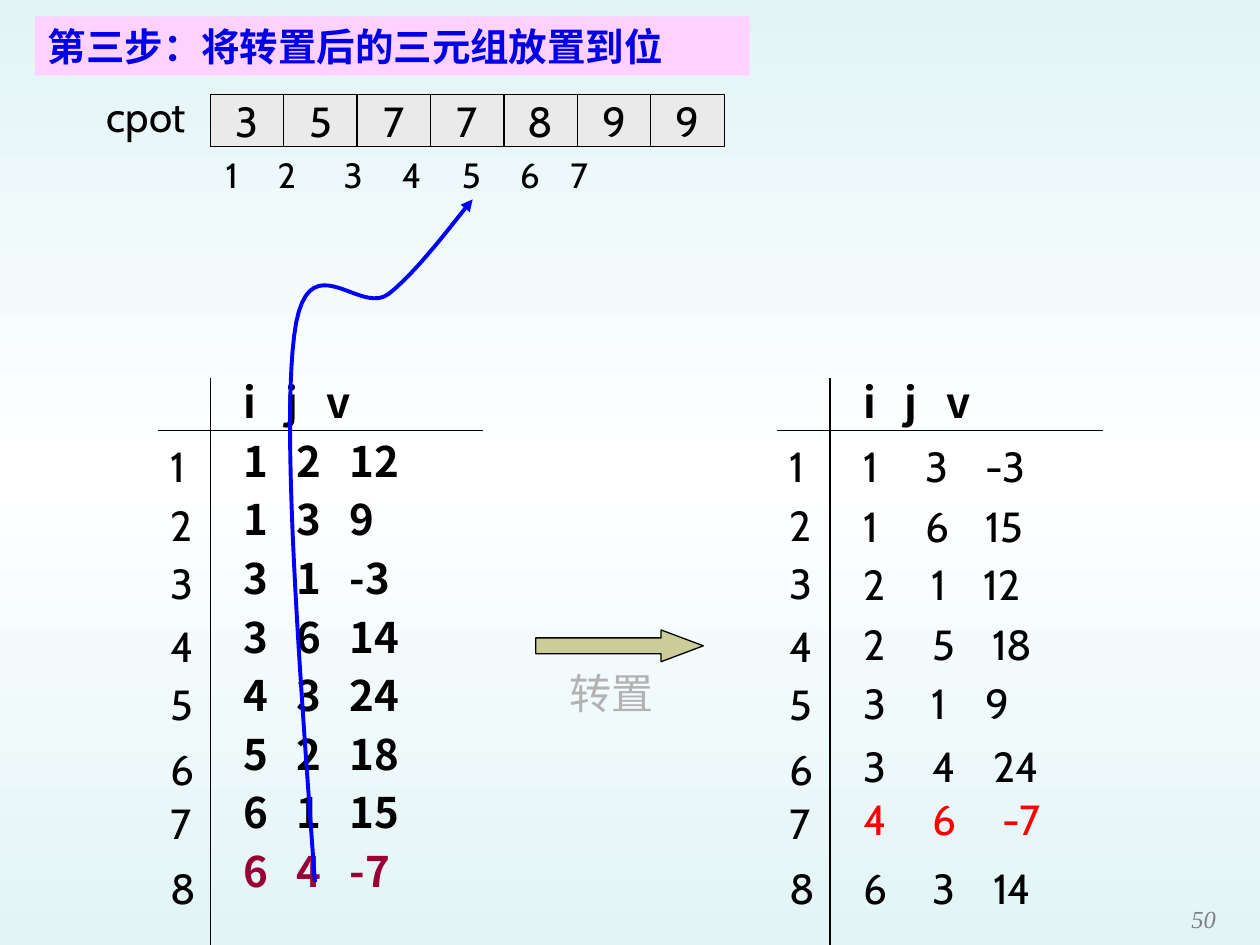
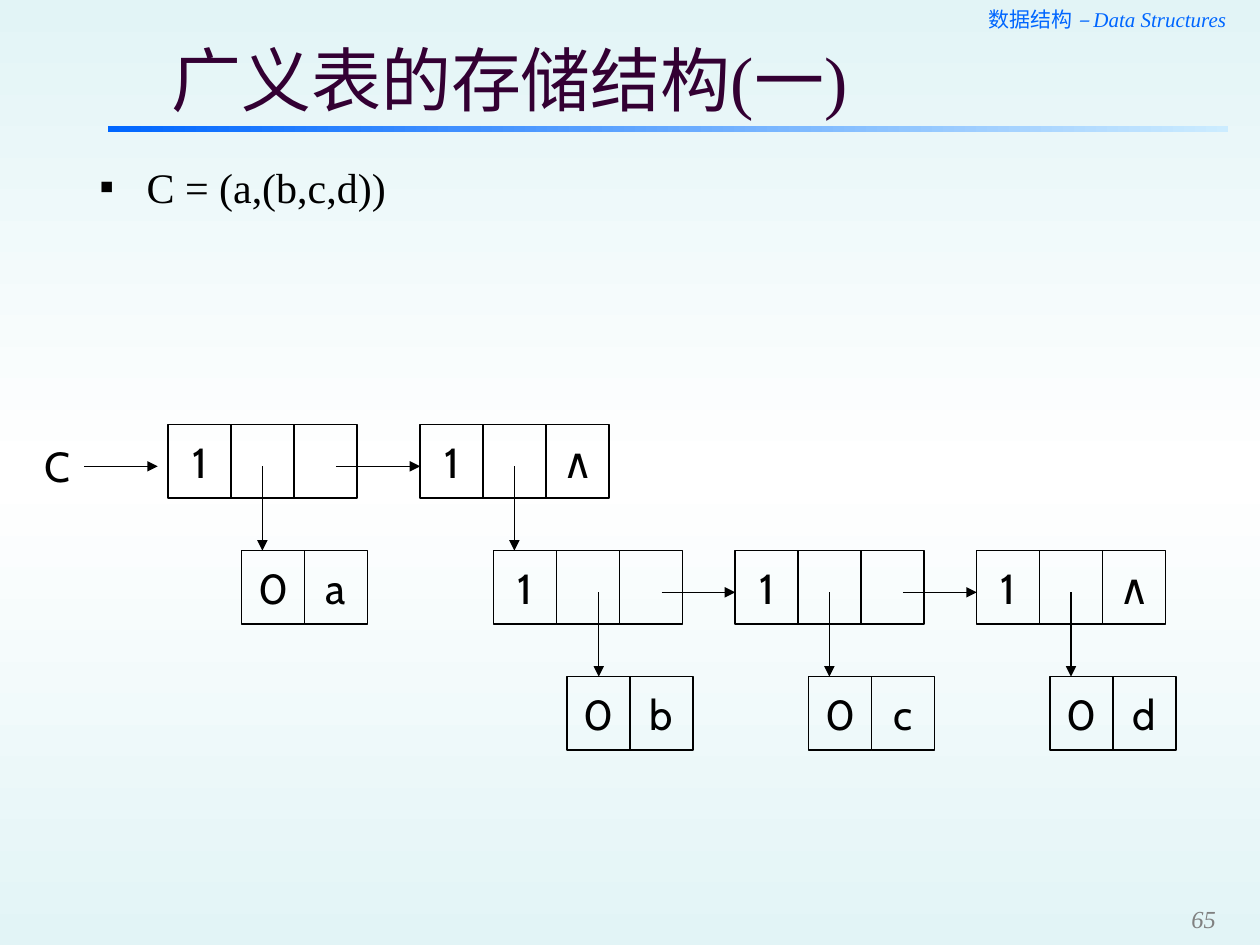
"""Two data-structure slides: fast matrix transposition and generalized-list storage."""
from copy import deepcopy

from lxml import etree
from pptx import Presentation
from pptx.dml.color import RGBColor
from pptx.enum.shapes import MSO_CONNECTOR, MSO_SHAPE
from pptx.enum.text import MSO_ANCHOR, MSO_AUTO_SIZE, PP_ALIGN
from pptx.oxml.ns import qn
from pptx.util import Cm, Pt

RECT, RIGHT_ARROW = MSO_SHAPE.RECTANGLE, MSO_SHAPE.RIGHT_ARROW
STRAIGHT = MSO_CONNECTOR.STRAIGHT
MIDDLE, BOTTOM = MSO_ANCHOR.MIDDLE, MSO_ANCHOR.BOTTOM
CENTER, RIGHT = PP_ALIGN.CENTER, PP_ALIGN.RIGHT
NO_AUTOFIT = MSO_AUTO_SIZE.NONE

BLACK = RGBColor(0x00, 0x00, 0x00)
WHITE = RGBColor(0xFF, 0xFF, 0xFF)
PALE_CYAN = RGBColor(0xE2, 0xF4, 0xF6)
PINK = RGBColor(0xFF, 0xD1, 0xFF)
TITLE_BLUE = RGBColor(0x00, 0x00, 0xE8)
CURVE_BLUE = RGBColor(0x00, 0x00, 0xFF)
BAND_BLUE = RGBColor(0x00, 0x66, 0xFF)
BAND_PALE = RGBColor(0xCC, 0xEC, 0xFF)
PLUM = RGBColor(0x33, 0x00, 0x33)
CRIMSON = RGBColor(0x99, 0x00, 0x33)
RED = RGBColor(0xFF, 0x00, 0x00)
KHAKI = RGBColor(0xCC, 0xCC, 0x99)
CELL_GRAY = RGBColor(0xEA, 0xEA, 0xEA)
LABEL_GRAY = RGBColor(0xB2, 0xB2, 0xB2)
PAGE_GRAY = RGBColor(0x80, 0x80, 0x80)

CABIN, NOTO, TIMES = "Cabin", "Noto Sans CJK SC", "Times New Roman"


def add_text(s, x, y, w, h, text, size=24, color=BLACK, font=CABIN, tabs=(), cell=False):
    """Add a text box, or a bordered cell, placed in centimetres."""
    box = (Cm(x), Cm(y), Cm(w), Cm(h))
    if cell:
        sp = s.shapes.add_shape(RECT, *box)
        sp.shadow.inherit = False
        sp.fill.background()
        sp.line.color.rgb = BLACK
        sp.line.width = Pt(0.75)
    else:
        sp = s.shapes.add_textbox(*box)
    tf = sp.text_frame
    tf.word_wrap = not cell
    tf.text = text
    p = tf.paragraphs[0]
    if cell:
        tf.vertical_anchor = MIDDLE
        p.alignment = CENTER
    if tabs:
        tab_list = etree.SubElement(p._p.get_or_add_pPr(), qn("a:tabLst"))
        for pos in tabs:
            etree.SubElement(tab_list, qn("a:tab"), pos=str(Cm(pos)), algn="l")
    for r in p.runs:
        r.font.name, r.font.size, r.font.color.rgb = font, Pt(size), color
    return sp


def add_line(s, x1, y1, x2, y2, arrow=False):
    """Add a thin black line in centimetres, with an arrowhead if asked."""
    line = s.shapes.add_connector(STRAIGHT, Cm(x1), Cm(y1), Cm(x2), Cm(y2))
    line.line.color.rgb = BLACK
    line.line.width = Pt(0.75)
    spPr = line._element.spPr
    if arrow:
        etree.SubElement(spPr.find(qn("a:ln")), qn("a:tailEnd"), type="triangle")
    etree.SubElement(spPr, qn("a:effectLst"))


prs = Presentation()
prs.slide_width, prs.slide_height = Cm(25.4), Cm(19.05)

fill = prs.slide_master.background.fill
fill.gradient()
fill.gradient_angle = 90
first_stop = fill._fill._gradFill.find(qn("a:gsLst"))[0]
first_stop.addnext(deepcopy(first_stop))
for stop, pos, color in zip(fill.gradient_stops, (0, 0.5, 1), (PALE_CYAN, WHITE, PALE_CYAN)):
    stop.position = pos
    stop.color.rgb = color

s1 = prs.slides.add_slide(prs.slide_layouts[5])
s2 = prs.slides.add_slide(prs.slide_layouts[1])

for s, text, box, size, bold, color, page in (
    (s1, "第三步：将转置后的三元组放置到位", (0.71, 0.33, 14.4, 1.19), 22, True, TITLE_BLUE, "50"),
    (s2, "广义表的存储结构(一)", (3.2, 0.74, 20.93, 1.7), 40, False, PLUM, "65"),
):
    sp = s.shapes.title
    sp.left, sp.top, sp.width, sp.height = [Cm(v) for v in box]
    tf = sp.text_frame
    tf.text = text
    tf.auto_size = NO_AUTOFIT
    tf.vertical_anchor = MIDDLE
    p = tf.paragraphs[0]
    p.alignment = PP_ALIGN.LEFT
    font = p.runs[0].font
    font.name, font.size, font.bold, font.color.rgb = TIMES, Pt(size), bold, color
    tf = add_text(s, 23.06, 18.11, 1.7, 0.84, page, 14, PAGE_GRAY, TIMES).text_frame
    tf.vertical_anchor = BOTTOM
    p = tf.paragraphs[0]
    p.alignment = RIGHT
    p.runs[0].font.italic = True

s1.shapes.title.fill.solid()
s1.shapes.title.fill.fore_color.rgb = PINK

add_text(s1, 1.9, 1.7, 2.3, 1.27, "cpot")
for i, value in enumerate("3577899"):
    sp = add_text(s1, 4.24 + 1.48 * i, 1.9, 1.48, 1.06, value, cell=True)
    sp.fill.solid()
    sp.fill.fore_color.rgb = CELL_GRAY
add_text(s1, 4.3, 2.97, 10, 1.09, "1\t2\t3\t4\t5\t6\t7", 20,
         tabs=(1.05, 2.38, 3.55, 4.76, 5.93, 6.95))

arrow = s1.shapes.add_shape(RIGHT_ARROW, Cm(10.8), Cm(12.7), Cm(3.38), Cm(0.64))
arrow.shadow.inherit = False
arrow.adjustments[0], arrow.adjustments[1] = 0.5, 1.33
arrow.fill.solid()
arrow.fill.fore_color.rgb = KHAKI
arrow.line.color.rgb = BLACK
arrow.line.width = Pt(0.75)
add_text(s1, 11.23, 13.34, 2.34, 1.27, "转置", color=LABEL_GRAY)

label_tops = (8.76, 9.95, 11.12, 12.39, 13.56, 14.86, 15.95, 17.27)
for dx in (0, 12.49):
    add_line(s1, 4.24 + dx, 7.62, 4.24 + dx, 19.05)
    add_line(s1, 3.18 + dx, 8.68, 9.74 + dx, 8.68)
    for i, top in enumerate(label_tops, 1):
        add_text(s1, 3.18 + dx, top, 1.27, 1.27, str(i))

source_rows = ("1\t2\t12", "1\t3\t9", "3\t1\t-3", "3\t6\t14",
               "4\t3\t24", "5\t2\t18", "6\t1\t15", "6\t4\t-7")
for x, rows in ((4.66, source_rows), (17.15, ())):
    sp = add_text(s1, x, 7.3, 5.29, 1.27 + 1.18 * len(rows), "i\tj\tv", font=NOTO, tabs=(0.84, 1.68))
    tf = sp.text_frame
    for row in rows:
        p = tf.add_paragraph()
        p.text = row
        tab_list = etree.SubElement(p._p.get_or_add_pPr(), qn("a:tabLst"))
        for pos in (1.06, 2.14):
            etree.SubElement(tab_list, qn("a:tab"), pos=str(Cm(pos)), algn="l")
    for p in tf.paragraphs:
        p.line_spacing = Pt(33.5)
        for r in p.runs:
            r.font.name, r.font.size, r.font.bold = NOTO, Pt(24), True
            r.font.color.rgb = CRIMSON if p.text == "6\t4\t-7" else BLACK

for top, row, tabs, color in (
    (8.76, "1\t3\t-3", (1.25, 2.46), BLACK),
    (9.96, "1\t6\t15", (1.25, 2.46), BLACK),
    (11.13, "2\t1\t12", (1.37, 2.42), BLACK),
    (12.34, "2\t5\t18", (1.4, 2.6), BLACK),
    (13.54, "3\t1\t9", (1.37, 2.46), BLACK),
    (14.81, "3\t4\t24", (1.4, 2.62), BLACK),
    (15.88, "4\t6\t-7", (1.4, 2.82), RED),
    (17.27, "6\t3\t14", (1.4, 2.62), BLACK),
):
    add_text(s1, 17.15, top, 5.08, 1.27, row, color=color, tabs=tabs)

curve = [(6.35, 17.78)]
for c1, c2, end in (
    ((6.02, 13.26), (5.69, 8.74), (5.93, 6.77)),
    ((6.17, 4.8), (7.23, 6.38), (7.83, 5.93)),
    ((8.43, 5.47), (9.25, 4.34), (9.53, 4.02)),
):
    start = curve[-1]
    for step in range(1, 21):
        t = step / 20
        curve.append(tuple(
            (1 - t) ** 3 * a + 3 * t * (1 - t) ** 2 * b + 3 * t * t * (1 - t) * c + t ** 3 * d
            for a, b, c, d in zip(start, c1, c2, end)))
points = [(Cm(x), Cm(y)) for x, y in curve]
builder = s1.shapes.build_freeform(*points[0])
builder.add_line_segments(points[1:], close=False)
sp = builder.convert_to_shape()
sp.shadow.inherit = False
sp.fill.background()
sp.line.color.rgb = CURVE_BLUE
sp.line.width = Pt(2.25)
etree.SubElement(sp._element.spPr.find(qn("a:ln")), qn("a:tailEnd"), type="triangle")

sp = add_text(s2, 15.24, 0, 9.73, 0.76, "数据结构", 12, BAND_BLUE, TIMES)
p = sp.text_frame.paragraphs[0]
p.alignment = RIGHT
r = p.add_run()
r.text = " – Data Structures"
r.font.name, r.font.size, r.font.italic, r.font.color.rgb = TIMES, Pt(12), True, BAND_BLUE

band = s2.shapes.add_shape(RECT, Cm(2.18), Cm(2.54), Cm(22.58), Cm(0.13))
band.shadow.inherit = False
band.line.fill.background()
band.fill.gradient()
band.fill.gradient_angle = 0
for stop, color in zip(band.fill.gradient_stops, (BAND_BLUE, BAND_PALE)):
    stop.color.rgb = color

body = s2.placeholders[1]
body.left, body.top, body.width, body.height = Cm(1.75), Cm(3.12), Cm(23.39), Cm(1.9)
tf = body.text_frame
tf.text = "C = (a,(b,c,d))"
tf.auto_size = NO_AUTOFIT
p = tf.paragraphs[0]
pPr = p._p.get_or_add_pPr()
pPr.set("marL", str(Cm(0.95)))
pPr.set("indent", str(-Cm(0.95)))
etree.SubElement(pPr, qn("a:buChar"), char="▪")
p.space_before = Pt(0)
font = p.runs[0].font
font.name, font.size, font.color.rgb = TIMES, Pt(24), BLACK

add_text(s2, 0.64, 8.76, 1.07, 1.27, "C")
for x, y, labels in (
    (3.39, 8.56, ("1", "", "")), (8.47, 8.56, ("1", "", "∧")),
    (4.87, 11.1, ("0", "a")), (9.95, 11.1, ("1", "", "")),
    (14.82, 11.1, ("1", "", "")), (19.69, 11.1, ("1", "", "∧")),
    (11.43, 13.64, ("0", "b")), (16.3, 13.64, ("0", "c")), (21.17, 13.64, ("0", "d")),
):
    for i, label in enumerate(labels):
        add_text(s2, x + 1.27 * i, y, 1.27, 1.48, label, cell=True)
for x1, x2, y in ((1.7, 3.18, 9.4), (6.77, 8.47, 9.4), (13.34, 14.82, 11.94), (18.2, 19.69, 11.94)):
    add_line(s2, x1, y, x2, y, arrow=True)
for x, y in ((5.29, 9.4), (10.37, 9.4), (12.07, 11.94), (16.72, 11.94), (21.59, 11.94)):
    add_line(s2, x, y, x, y + 1.7, arrow=True)

prs.save("out.pptx")
